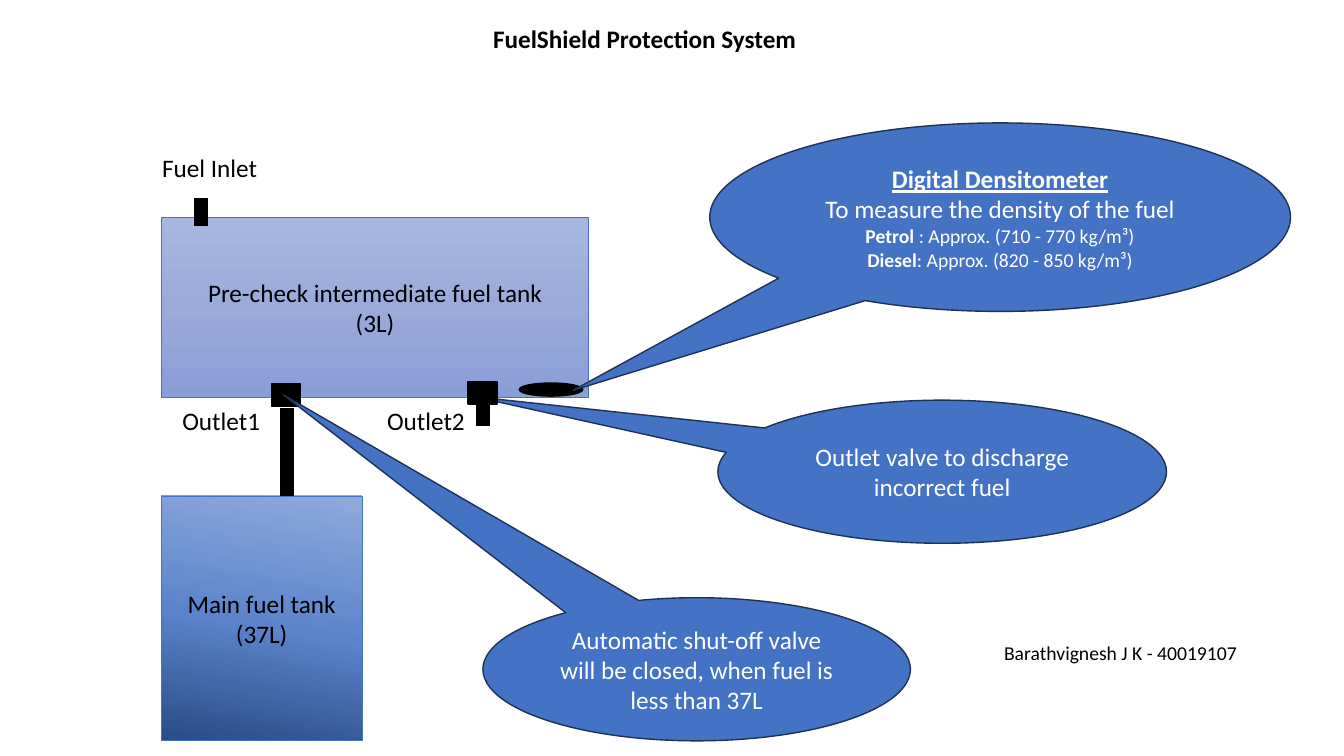
from copy import deepcopy

from lxml import etree
from pptx import Presentation
from pptx.dml.color import RGBColor
from pptx.enum import shapes, text
from pptx.oxml.ns import qn
from pptx.util import Inches, Pt

FONT = "Calibri"
BLACK = RGBColor(0x00, 0x00, 0x00)
WHITE = RGBColor(0xFF, 0xFF, 0xFF)
BLUE = RGBColor(0x44, 0x72, 0xC4)
NAVY = RGBColor(0x1E, 0x32, 0x56)
MAIN_TANK_STOPS = [
    (0, RGBColor(0x2A, 0x4B, 0x86)),
    (0.48, RGBColor(0x5C, 0x84, 0xCC)),
    (1, RGBColor(0x8F, 0xAA, 0xDC)),
]
CHECK_TANK_STOPS = [
    (0, RGBColor(0xA8, 0xB7, 0xDF)),
    (0.5, RGBColor(0x9A, 0xAB, 0xD9)),
    (1, RGBColor(0x88, 0x9E, 0xD7)),
]


def style(font, color, size=18, bold=False):
    font.name = FONT
    font.size = Pt(size)
    font.bold = bold
    font.color.rgb = color


def add_shape(page, kind, place, line_color, line_width):
    shape = page.shapes.add_shape(kind, *map(Inches, place))
    shape.shadow.inherit = False
    shape.line.color.rgb = line_color
    shape.line.width = Pt(line_width)
    return shape


def write_centred(shape, lines, color):
    """Write one centred paragraph per line and return the paragraphs."""
    frame = shape.text_frame
    frame.word_wrap = True
    frame.vertical_anchor = text.MSO_ANCHOR.MIDDLE
    frame.text = "\n".join(lines)
    for para in frame.paragraphs:
        para.alignment = text.PP_ALIGN.CENTER
        style(para.font, color)
    return frame.paragraphs


def add_tank(page, place, lines, stops, angle):
    tank = add_shape(page, shapes.MSO_SHAPE.RECTANGLE, place, BLUE, 0.5)
    tank.fill.gradient()
    tank.fill.gradient_angle = angle
    stop_list = tank.element.spPr.find(".//" + qn("a:gsLst"))
    stop_list.append(deepcopy(stop_list[-1]))
    for stop, (position, color) in zip(tank.fill.gradient_stops, stops):
        stop.position = position
        stop.color.rgb = color
    write_centred(tank, lines, BLACK)


def add_fitting(page, kind, place):
    """Add a solid black valve or sensor."""
    fitting = add_shape(page, kind, place, BLACK, 1)
    fitting.fill.solid()
    fitting.fill.fore_color.rgb = BLACK


def add_pipe(page, x, top, bottom):
    pipe = page.shapes.add_connector(
        shapes.MSO_CONNECTOR.STRAIGHT,
        Inches(x), Inches(top), Inches(x), Inches(bottom))
    pipe.line.color.rgb = BLACK
    pipe.line.width = Pt(10)
    etree.SubElement(pipe.element.spPr, qn("a:effectLst"))


def add_callout(page, place, pointer, lines):
    callout = add_shape(page, shapes.MSO_SHAPE.OVAL_CALLOUT, place, NAVY, 1)
    callout.adjustments[0], callout.adjustments[1] = pointer
    callout.fill.solid()
    callout.fill.fore_color.rgb = BLUE
    return write_centred(callout, lines, WHITE)


def add_densitometer_callout(page):
    heading, _, *fuels = add_callout(
        page, (7.04, 1.22, 5.76, 1.87), (-0.735, 0.918),
        ["Digital Densitometer", "To measure the density of the fuel", "", ""])
    heading.font.bold = True
    heading.font.underline = True
    densities = [("Petrol ", ": Approx. (710 - 770 kg/m³)"),
                 ("Diesel", ": Approx. (820 - 850 kg/m³)")]
    for para, (fuel, density) in zip(fuels, densities):
        para.font.size = Pt(14)
        for words, bold in ((fuel, True), (density, False)):
            span = para.add_run()
            span.text = words
            style(span.font, WHITE, 14, bold)


def add_label(page, place, words, size=18):
    box = page.shapes.add_textbox(*map(Inches, place))
    frame = box.text_frame
    frame.word_wrap = True
    frame.auto_size = text.MSO_AUTO_SIZE.SHAPE_TO_FIT_TEXT
    frame.text = words
    style(frame.paragraphs[0].font, BLACK, size)


def set_title(page, words):
    title = page.shapes.title
    title.left, title.top, title.width, title.height = map(
        Inches, (4.79, 0.18, 3.23, 0.4))
    frame = title.text_frame
    frame.text = words
    frame.word_wrap = False
    frame.auto_size = text.MSO_AUTO_SIZE.SHAPE_TO_FIT_TEXT
    frame.vertical_anchor = text.MSO_ANCHOR.TOP
    para = frame.paragraphs[0]
    para.alignment = text.PP_ALIGN.LEFT
    style(para.font, BLACK, bold=True)


def main():
    deck = Presentation()
    deck.slide_width = Inches(13.33)
    deck.slide_height = Inches(7.5)
    page = deck.slides.add_slide(deck.slide_layouts[5])
    set_title(page, "FuelShield Protection System")

    add_tank(page, (1.6, 4.92, 1.99, 2.43), ["Main fuel tank (37L)"],
             MAIN_TANK_STOPS, 80)
    add_tank(page, (1.6, 2.16, 4.24, 1.78),
             ["Pre-check intermediate fuel tank", "(3L)"],
             CHECK_TANK_STOPS, 270)

    for x, top, bottom in ((2.85, 4.05, 4.92), (1.99, 1.96, 2.24),
                           (4.79, 3.82, 4.23)):
        add_pipe(page, x, top, bottom)
    add_fitting(page, shapes.MSO_SHAPE.FLOWCHART_CONNECTOR,
                (5.15, 3.8, 0.63, 0.13))
    add_fitting(page, shapes.MSO_SHAPE.RECTANGLE, (2.69, 3.81, 0.29, 0.22))

    add_densitometer_callout(page)
    add_callout(
        page, (4.79, 5.93, 4.24, 1.42), (-0.967, -1.918),
        ["Automatic shut-off valve will be closed, when fuel is less than 37L"])
    add_callout(page, (7.12, 3.97, 4.45, 1.42), (-1.042, -0.524),
                ["Outlet valve to discharge incorrect fuel"])
    add_fitting(page, shapes.MSO_SHAPE.RECTANGLE, (4.64, 3.79, 0.29, 0.22))

    add_label(page, (1.51, 1.46, 1.52, 0.4), "Fuel Inlet")
    add_label(page, (1.71, 3.97, 1.12, 0.4), "Outlet1")
    add_label(page, (3.74, 3.97, 1.12, 0.4), "Outlet2")
    add_label(page, (9.86, 6.31, 3.75, 0.34), "Barathvignesh J K - 40019107", 14)

    deck.save("out.pptx")


if __name__ == "__main__":
    main()
